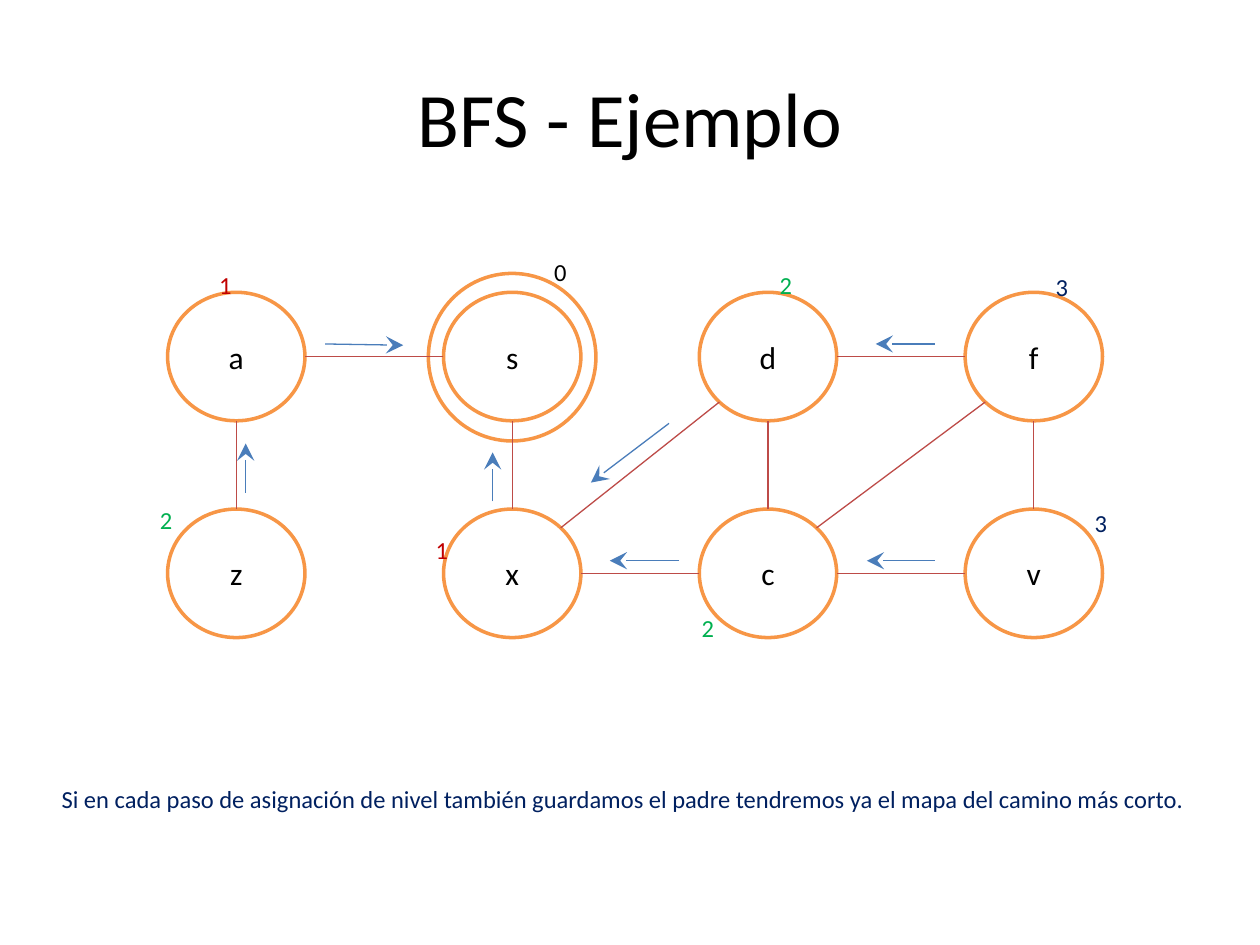
"""Build the BFS example slide: a graph with levels and parent arrows."""
import math
from typing import NamedTuple

import pptx
import pptx.dml.color
import pptx.enum.shapes
import pptx.enum.text
import pptx.oxml.ns
import pptx.util
from lxml import etree

Inches = pptx.util.Inches
Pt = pptx.util.Pt
RGBColor = pptx.dml.color.RGBColor
PP_ALIGN = pptx.enum.text.PP_ALIGN
MSO_ANCHOR = pptx.enum.text.MSO_ANCHOR

BLACK = RGBColor(0x00, 0x00, 0x00)
WHITE = RGBColor(0xFF, 0xFF, 0xFF)
ORANGE = RGBColor(0xF7, 0x96, 0x46)
EDGE_RED = RGBColor(0xBD, 0x4B, 0x48)
ARROW_BLUE = RGBColor(0x4A, 0x7D, 0xBA)
RED = RGBColor(0xC0, 0x00, 0x00)
GREEN = RGBColor(0x00, 0xB0, 0x50)
NAVY = RGBColor(0x00, 0x20, 0x60)

FONT = "Calibri"
NODE_W, NODE_H = 1.09, 1.02
COLUMNS = (1.33, 3.52, 5.55, 7.66)
ROWS = (2.32, 4.04)
NODE_ROWS = ("asdf", "zxcv")
EDGES = ("cf", "cd", "vf", "xs", "za", "sa", "fd", "cx", "vc", "xd")
LEVEL_COLORS = (BLACK, RED, GREEN, NAVY)


class Node(NamedTuple):
    name: str
    left: float
    top: float


class Level(NamedTuple):
    value: int
    left: float
    top: float


class Arrow(NamedTuple):
    x1: float
    y1: float
    x2: float
    y2: float


NODES = {
    name: Node(name, left, top)
    for names, top in zip(NODE_ROWS, ROWS)
    for name, left in zip(names, COLUMNS)
}

LEVELS = (
    Level(0, 4.3, 1.99),
    Level(1, 1.64, 2.09),
    Level(1, 3.36, 4.2),
    Level(2, 1.17, 3.96),
    Level(2, 5.47, 4.82),
    Level(2, 6.09, 2.09),
    Level(3, 8.28, 2.11),
    Level(3, 8.59, 3.98),
)

ARROWS = (
    Arrow(2.58, 2.73, 3.2, 2.74),
    Arrow(3.91, 3.98, 3.91, 3.59),
    Arrow(1.95, 3.91, 1.95, 3.52),
    Arrow(5.31, 3.36, 4.69, 3.83),
    Arrow(5.39, 4.45, 4.84, 4.45),
    Arrow(7.42, 2.73, 6.95, 2.73),
    Arrow(7.42, 4.45, 6.88, 4.45),
)


def write(sp, text: str, size: float, color: RGBColor, align=PP_ALIGN.LEFT, anchor=MSO_ANCHOR.TOP) -> None:
    tf = sp.text_frame
    tf.text = text
    tf.word_wrap = True
    tf.vertical_anchor = anchor
    p = tf.paragraphs[0]
    p.alignment = align
    r = p.runs[0]
    r.font.name = FONT
    r.font.size = Pt(size)
    r.font.color.rgb = color


def add_text(s, left: float, top: float, width: float, height: float, text: str, size: float, color: RGBColor, **layout):
    sp = s.shapes.add_textbox(Inches(left), Inches(top), Inches(width), Inches(height))
    write(sp, text, size, color, **layout)
    return sp


def add_ellipse(s, left: float, top: float, width: float, height: float):
    oval = pptx.enum.shapes.MSO_SHAPE.OVAL
    sp = s.shapes.add_shape(oval, Inches(left), Inches(top), Inches(width), Inches(height))
    sp.shadow.inherit = False
    sp.fill.solid()
    sp.fill.fore_color.rgb = WHITE
    sp.line.color.rgb = ORANGE
    sp.line.width = Pt(2)
    return sp


def add_node(s, node: Node) -> None:
    sp = add_ellipse(s, node.left, node.top, NODE_W, NODE_H)
    write(sp, node.name, 18, BLACK, align=PP_ALIGN.CENTER, anchor=MSO_ANCHOR.MIDDLE)


def add_line(s, x1: float, y1: float, x2: float, y2: float, color: RGBColor):
    straight = pptx.enum.shapes.MSO_CONNECTOR.STRAIGHT
    line = s.shapes.add_connector(straight, Inches(x1), Inches(y1), Inches(x2), Inches(y2))
    line.line.color.rgb = color
    line.line.width = Pt(0.75)
    etree.SubElement(line._element.spPr, pptx.oxml.ns.qn("a:effectLst"))
    return line


def sign(value: float) -> int:
    return (value > 0) - (value < 0)


def rim_point(node: Node, other: Node) -> tuple[float, float]:
    dx, dy = sign(other.left - node.left), sign(other.top - node.top)
    reach = math.hypot(dx, dy)
    x = node.left + NODE_W / 2 * (1 + dx / reach)
    y = node.top + NODE_H / 2 * (1 + dy / reach)
    return x, y


def add_edge(s, start: Node, end: Node) -> None:
    add_line(s, *rim_point(start, end), *rim_point(end, start), EDGE_RED)


def add_arrow(s, arrow: Arrow) -> None:
    line = add_line(s, *arrow, ARROW_BLUE)
    ln = line.line._get_or_add_ln()
    etree.SubElement(ln, pptx.oxml.ns.qn("a:tailEnd"), type="stealth", w="lg", len="lg")


def add_level(s, level: Level) -> None:
    add_text(s, level.left, level.top, 0.47, 0.34, str(level.value), 14, LEVEL_COLORS[level.value])


def main() -> None:
    prs = pptx.Presentation()
    prs.slide_width, prs.slide_height = Inches(10), Inches(7.5)
    s = prs.slides.add_slide(prs.slide_layouts[6])
    add_ellipse(s, 3.4, 2.17, 1.33, 1.33)
    add_text(s, 0.5, 0.3, 9, 1.25, "BFS - Ejemplo", 44, BLACK, align=PP_ALIGN.CENTER, anchor=MSO_ANCHOR.MIDDLE)
    for node in NODES.values():
        add_node(s, node)
    for start, end in EDGES:
        add_edge(s, NODES[start], NODES[end])
    for level in LEVELS:
        add_level(s, level)
    add_text(
        s, 0.39, 6.17, 9.38, 0.34,
        "Si en cada paso de asignación de nivel también guardamos el padre "
        "tendremos ya el mapa del camino más corto.",
        14, NAVY,
    )
    for arrow in ARROWS:
        add_arrow(s, arrow)
    prs.save("out.pptx")


if __name__ == "__main__":
    main()
